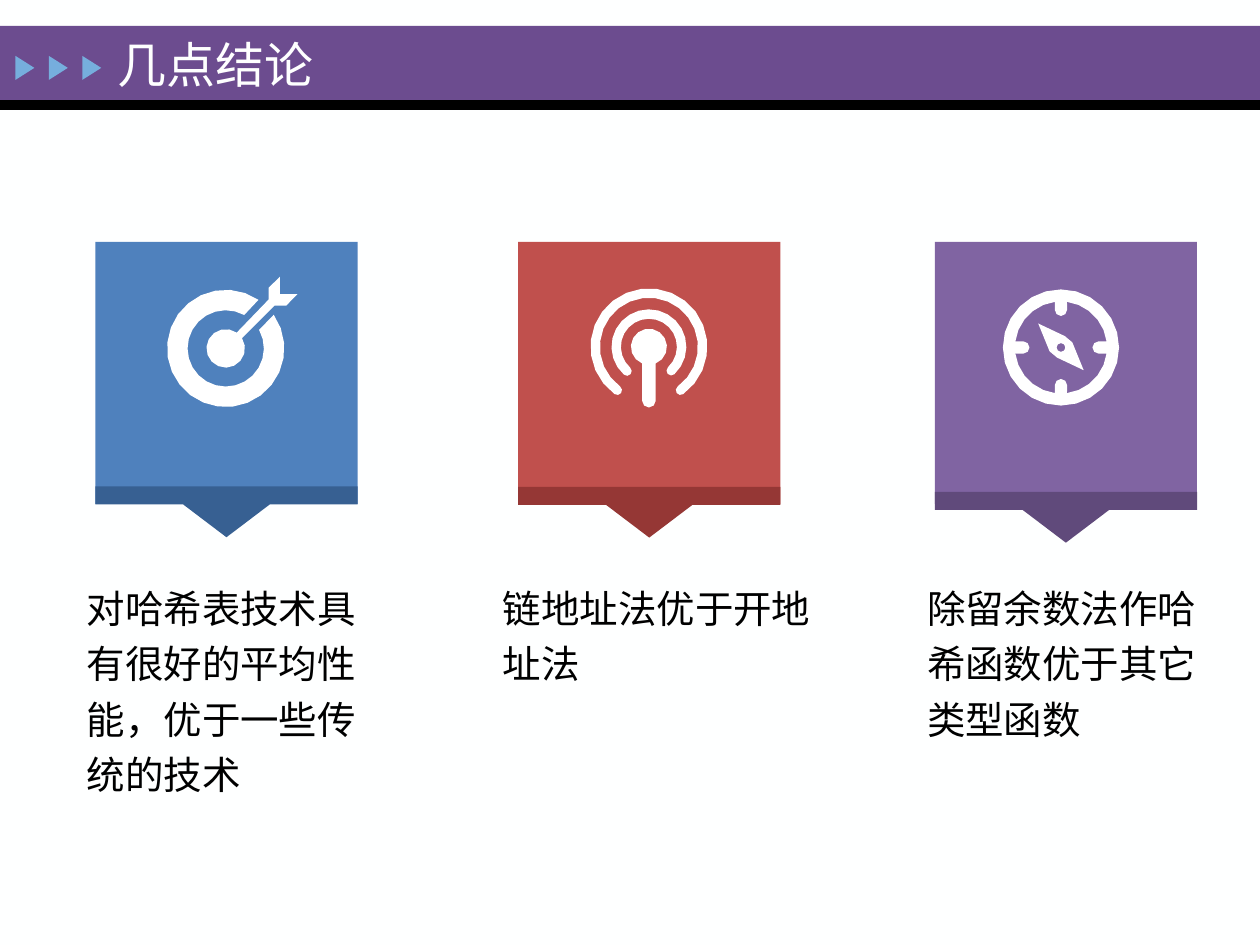
"""Build a conclusions slide with three icon cards."""
from math import cos, radians, sin

from pptx import Presentation
from pptx.dml.color import RGBColor
from pptx.enum.shapes import MSO_SHAPE
from pptx.enum.text import MSO_ANCHOR, MSO_AUTO_SIZE, PP_ALIGN
from pptx.util import Pt

FONT = "Times New Roman"
BACKGROUND = RGBColor(0xFE, 0xFF, 0xFF)
WHITE = RGBColor(0xFF, 0xFF, 0xFF)
BLACK = RGBColor(0, 0, 0)
BAR = RGBColor(0x6C, 0x4C, 0x8F)
MARKER = RGBColor(0x76, 0xAE, 0xDD)
BLUE, DARK_BLUE = RGBColor(0x4F, 0x81, 0xBD), RGBColor(0x37, 0x60, 0x92)
RED, DARK_RED = RGBColor(0xC0, 0x50, 0x4D), RGBColor(0x95, 0x37, 0x35)
PURPLE, DARK_PURPLE = RGBColor(0x80, 0x64, 0xA2), RGBColor(0x60, 0x4A, 0x7B)

TITLE = "几点结论"
CARD_TOP, CARD_SIZE = 138.2, 149.8
TEXT_TOP = 325.4


def polar(radius, angle):
    return radius * cos(radians(angle)), radius * sin(radians(angle))


def arc(radius, start, end, center=(0, 0)):
    step = 15 if radius > 15 else 24 if radius > 5 else 45
    count = max(2, round(abs(end - start) / step))
    offsets = [polar(radius, start + (end - start) * i / count) for i in range(count + 1)]
    return [(center[0] + x, center[1] + y) for x, y in offsets]


def round_ended_ring(outer, inner, start, end):
    middle, cap = (outer + inner) / 2, (outer - inner) / 2
    return (arc(outer, start, end)
            + arc(cap, end, end + 180, polar(middle, end))
            + arc(inner, end, start)
            + arc(cap, start + 180, start + 360, polar(middle, start)))


def target_icon():
    arrow = [(24.5, -27.9), (24.5, -34.6), (31, -41), (31, -31),
             (41, -31), (34.6, -24.5), (28, -24.5)]
    return [arc(33.5, -35, 304) + arc(21.8, 299, -29),
            arc(11, -32, 305) + arrow]


def signal_icon():
    stem = arc(3.9, 0, 180, (0, 30.8))
    return [round_ended_ring(33.4, 28, 126, 414),
            round_ended_ring(21.4, 16, 132, 407),
            arc(10.3, 112, 428) + stem]


def compass_icon():
    dial = []
    for angle in range(0, 360, 90):
        dial += arc(26.3, angle + 7.5, angle + 82.5)
        dial += arc(3.5, angle, angle - 180, polar(21.5, angle + 90))
    needle = [(-13, -13.7), (2.2, -6.5), (6.5, -2.9), (13, 13), (-2.2, 5.8), (-6.5, 2.2)]
    return [arc(33.2, 0, 360), dial, needle, arc(2.5, 0, 360)]


CARDS = [
    {"text": "对哈希表技术具有很好的平均性能，优于一些传统的技术",
     "left": 54.5, "flag_top": 278, "colors": (BLUE, DARK_BLUE),
     "icon": target_icon(), "center": (129, 199.1),
     "text_left": 42.5, "text_width": 170.6, "text_height": 135.4},
    {"text": "链地址法优于开地址法",
     "left": 296.1, "flag_top": 278.2, "colors": (RED, DARK_RED),
     "icon": signal_icon(), "center": (370.8, 198.2),
     "text_left": 280.3, "text_width": 210.2, "text_height": 71.3},
    {"text": "除留余数法作哈希函数优于其它类型函数",
     "left": 534.2, "flag_top": 281.1, "colors": (PURPLE, DARK_PURPLE),
     "icon": compass_icon(), "center": (606.3, 198.6),
     "text_left": 522.7, "text_width": 172.8, "text_height": 103},
]


def paint(shape, color):
    shape.shadow.inherit = False
    shape.fill.solid()
    shape.fill.fore_color.rgb = color
    shape.line.fill.background()


def add_preset(slide, kind, left, top, width, height, color):
    shape = slide.shapes.add_shape(kind, Pt(left), Pt(top), Pt(width), Pt(height))
    paint(shape, color)
    return shape


def add_outline(slide, contours, origin, color):
    placed = [[(Pt(origin[0] + x), Pt(origin[1] + y)) for x, y in contour]
              for contour in contours]
    builder = slide.shapes.build_freeform(*placed[0][0])
    for index, contour in enumerate(placed):
        if index:
            builder.move_to(*contour[0])
        builder.add_line_segments(contour[1:], close=True)
    paint(builder.convert_to_shape(), color)


def write(paragraph, text, size, color):
    run = paragraph.add_run()
    run.text = text
    run.font.name = FONT
    run.font.size = Pt(size)
    run.font.color.rgb = color


def add_header(slide):
    add_preset(slide, MSO_SHAPE.RECTANGLE, 0, 14.8, 720, 42.5, BAR)
    add_preset(slide, MSO_SHAPE.RECTANGLE, 0, 57.3, 720, 5.5, BLACK)
    for index in range(3):
        marker = add_preset(slide, MSO_SHAPE.ISOSCELES_TRIANGLE,
                            7.4 + 19.1 * index, 33.4, 13.7, 10.8, MARKER)
        marker.rotation = 90
    title = slide.shapes.title
    slide.shapes.element.append(title.element)
    title.left, title.top, title.width, title.height = Pt(59.8), Pt(16.6), Pt(373.7), Pt(40.3)
    frame = title.text_frame
    frame.auto_size = MSO_AUTO_SIZE.NONE
    frame.vertical_anchor = MSO_ANCHOR.MIDDLE
    frame.paragraphs[0].alignment = PP_ALIGN.LEFT
    write(frame.paragraphs[0], TITLE, 28, BACKGROUND)


def add_card(slide, card):
    face, dark = card["colors"]
    add_preset(slide, MSO_SHAPE.RECTANGLE, card["left"], CARD_TOP, CARD_SIZE, CARD_SIZE, face)
    middle = CARD_SIZE / 2
    flag = [(0, 0), (CARD_SIZE, 0), (CARD_SIZE, 10.3), (middle + 24.7, 10.3),
            (middle, 29), (middle - 24.7, 10.3), (0, 10.3)]
    add_outline(slide, [flag], (card["left"], card["flag_top"]), dark)
    add_outline(slide, card["icon"], card["center"], WHITE)
    box = slide.shapes.add_textbox(Pt(card["text_left"]), Pt(TEXT_TOP),
                                   Pt(card["text_width"]), Pt(card["text_height"]))
    frame = box.text_frame
    frame.word_wrap = True
    frame.auto_size = MSO_AUTO_SIZE.SHAPE_TO_FIT_TEXT
    frame.paragraphs[0].line_spacing = 1.2
    write(frame.paragraphs[0], card["text"], 22, BLACK)


def main():
    presentation = Presentation()
    presentation.slide_width, presentation.slide_height = Pt(720), Pt(540)
    slide = presentation.slides.add_slide(presentation.slide_layouts[5])
    slide.background.fill.solid()
    slide.background.fill.fore_color.rgb = BACKGROUND
    add_header(slide)
    for card in CARDS:
        add_card(slide, card)
    presentation.save("out.pptx")


if __name__ == "__main__":
    main()
